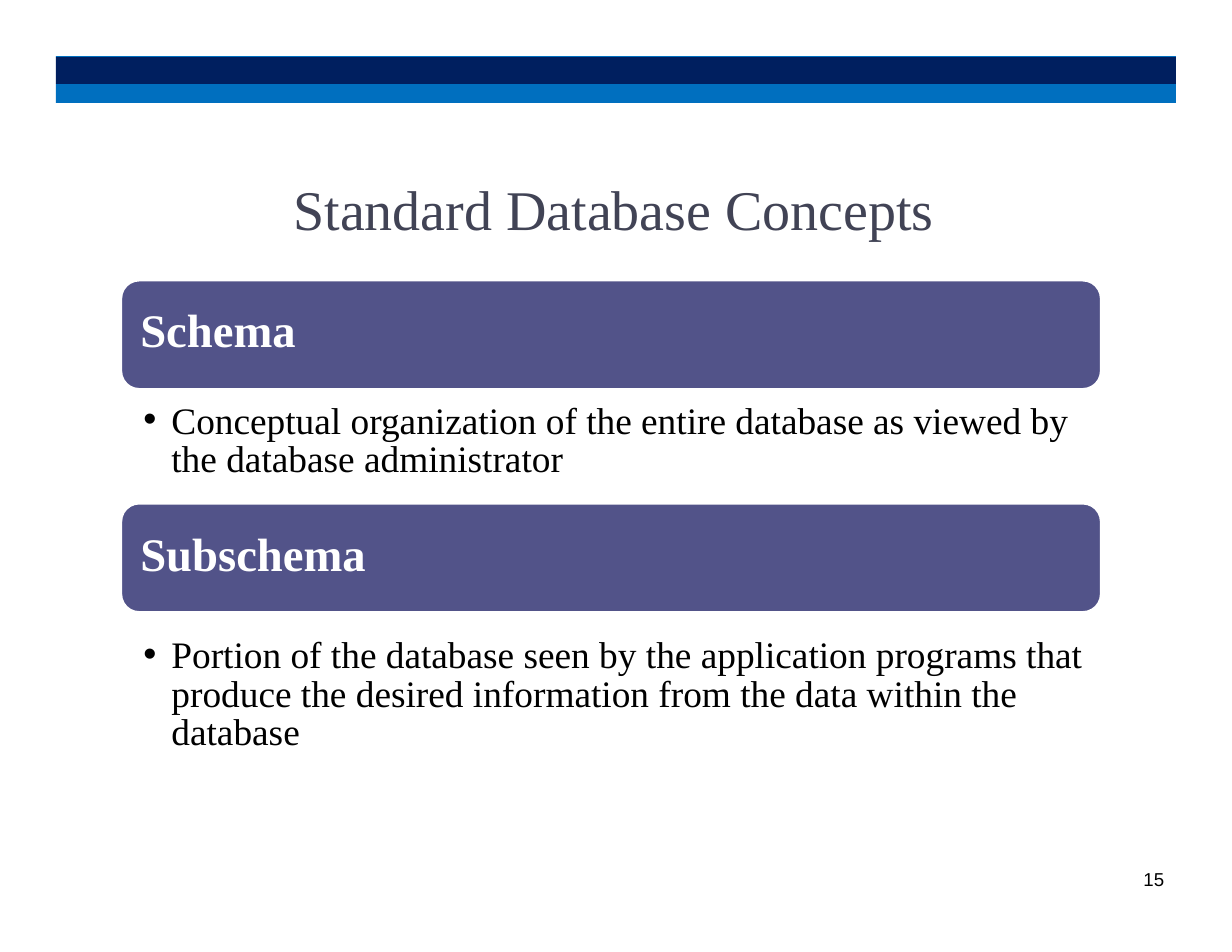
"""Build the Standard Database Concepts slide."""
from dataclasses import dataclass

from lxml import etree
from pptx import Presentation
from pptx.dml.color import RGBColor
from pptx.enum import shapes, text
from pptx.oxml import ns
from pptx.util import Pt

SERIF = "Times New Roman"


@dataclass
class Box:
    left: float
    top: float
    width: float
    height: float

    def lengths(self) -> tuple:
        return tuple(Pt(n) for n in (self.left, self.top, self.width, self.height))


@dataclass
class Band:
    box: Box
    fill: str
    preset: shapes.MSO_SHAPE = shapes.MSO_SHAPE.RECTANGLE
    outline: str = ""


@dataclass
class Concept:
    name: str
    meaning: str
    panel_top: float
    gap_above: float
    gap_below: float


BANDS = [
    Band(Box(36, 54, 720, 12.24), "006FBF"),
    Band(Box(36, 36, 720, 0.72), "006FBF"),
    Band(Box(36, 36.72, 720, 17.28), "001F5F"),
]
CONCEPTS = [
    Concept("Schema", "Conceptual organization of the entire database as viewed by "
            "the database administrator", 180.2, 1, 29.3),
    Concept("Subschema", "Portion of the database seen by the application programs that "
            "produce the desired information from the data within the database",
            323.6, 28.6, 36.5),
]


def color(hex_code: str) -> RGBColor:
    return RGBColor.from_string(hex_code)


def draw_band(slide, band: Band) -> None:
    shape = slide.shapes.add_shape(band.preset, *band.box.lengths())
    shape.shadow.inherit = False
    shape.fill.solid()
    shape.fill.fore_color.rgb = color(band.fill)
    if band.outline:
        shape.line.color.rgb = color(band.outline)
        shape.line.width = Pt(1.5)
    else:
        shape.line.fill.background()


def prepare(holder, box: Box):
    holder.left, holder.top, holder.width, holder.height = box.lengths()
    frame = holder.text_frame
    frame.word_wrap = True
    frame.auto_size = text.MSO_AUTO_SIZE.NONE
    frame.vertical_anchor = text.MSO_ANCHOR.TOP
    frame.margin_left = frame.margin_right = frame.margin_bottom = 0
    frame.margin_top = Pt(0.7)
    return frame


def write(paragraph, words: str, size: float, hex_code: str, bold: bool = False,
          face: str = SERIF, before: float = 0, leading: float = 1.0) -> None:
    paragraph.alignment = text.PP_ALIGN.LEFT
    paragraph.line_spacing = leading
    paragraph.space_before = Pt(before)
    paragraph.space_after = Pt(0)
    run = paragraph.add_run()
    run.text = words
    run.font.size = Pt(size)
    run.font.name = face
    run.font.bold = bold
    run.font.color.rgb = color(hex_code)


def set_bullet(paragraph, margin: float, indent: float, mark: str = "") -> None:
    properties = paragraph._p.get_or_add_pPr()
    properties.set("marL", str(Pt(margin)))
    properties.set("indent", str(Pt(indent)))
    bullet = etree.SubElement(properties, ns.qn("a:buChar" if mark else "a:buNone"))
    if mark:
        bullet.set("char", mark)


def main() -> None:
    deck = Presentation()
    deck.slide_width, deck.slide_height = Pt(792), Pt(612)
    slide = deck.slides.add_slide(deck.slide_layouts[1])
    title, body = slide.placeholders
    for band in BANDS:
        draw_band(slide, band)
    for concept in CONCEPTS:
        draw_band(slide, Band(Box(77.8, concept.panel_top, 630, 70), "525389",
                              shapes.MSO_SHAPE.ROUNDED_RECTANGLE, "FFFFFF"))

    heading = prepare(title, Box(188.6, 111.6, 420, 45.4))
    write(heading.paragraphs[0], "Standard Database Concepts", 36, "414355", before=1)

    body.element.getparent().append(body.element)
    outline = prepare(body, Box(89.3, 193, 610, 292.3))
    for index, concept in enumerate(CONCEPTS):
        name = outline.add_paragraph() if index else outline.paragraphs[0]
        write(name, concept.name, 30, "FFFFFF", True, before=concept.gap_above)
        set_bullet(name, 0.9, 0)
        meaning = outline.add_paragraph()
        write(meaning, concept.meaning, 24, "000000", before=concept.gap_below,
              leading=Pt(24.8))
        set_bullet(meaning, 20.9, -18, "•")

    page_box = Box(735.1, 559.4, 20, 13.7)
    page = prepare(slide.shapes.add_textbox(*page_box.lengths()), page_box)
    page.margin_top = 0
    write(page.paragraphs[0], "15", 12, "000000", face="Arial", leading=Pt(12.7))
    deck.save("out.pptx")


if __name__ == "__main__":
    main()
